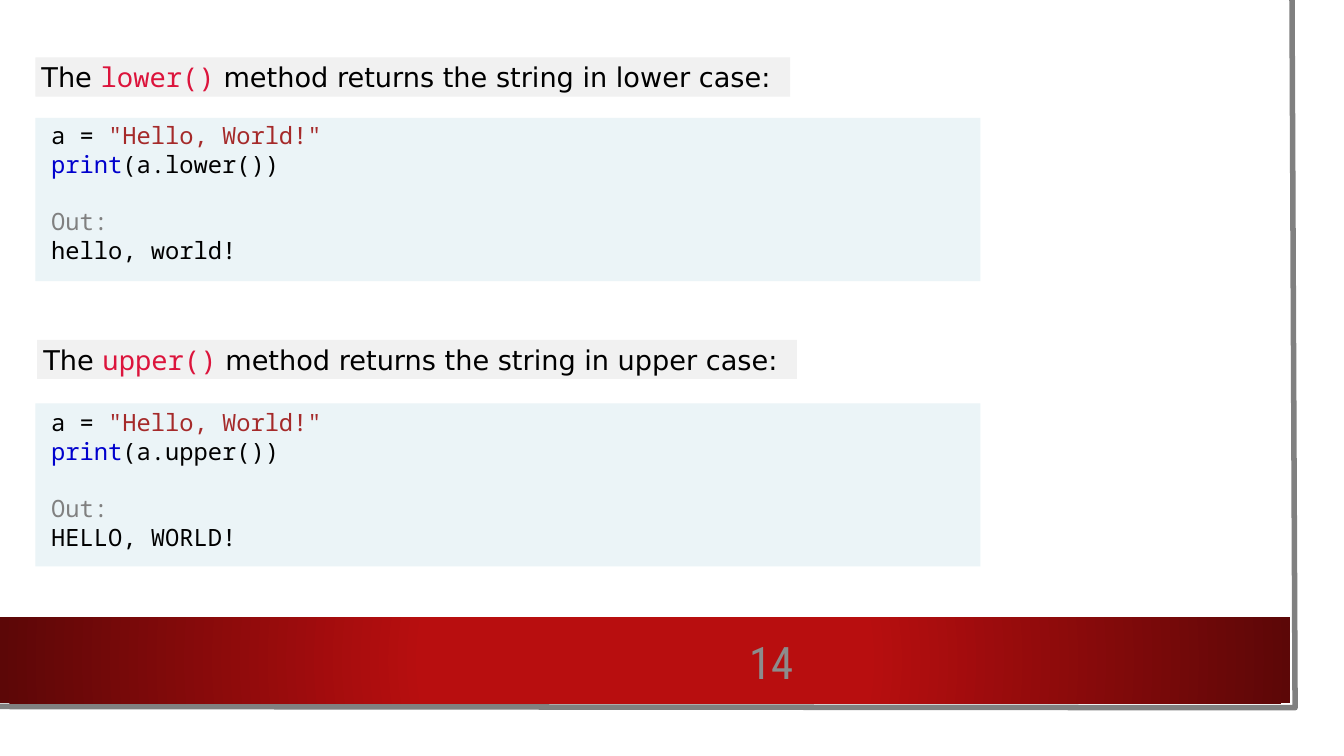
from lxml import etree
from pptx import Presentation
from pptx.dml.color import RGBColor
from pptx.enum.shapes import MSO_SHAPE
from pptx.enum.text import MSO_ANCHOR, PP_ALIGN
from pptx.oxml.ns import qn
from pptx.util import Inches, Pt

RECT = MSO_SHAPE.RECTANGLE
MIDDLE = MSO_ANCHOR.MIDDLE
RIGHT = PP_ALIGN.RIGHT

COLORS = {
    "page": "FFFFFF", "frame": "808080", "red": "B80E0F", "dark": "5C0707",
    "panel": "EBF4F7", "label": "F1F1F1", "text": "000000", "method": "DC143C",
    "string": "A52A2A", "keyword": "0000CD", "out": "808080", "number": "8C8C8C",
}
SANS, MONO, NARROW = "DejaVu Sans", "Noto Sans Mono", "Roboto Condensed"
STYLES = {
    "title": {"name": SANS, "size": Pt(32)},
    "method": {"name": MONO, "size": Pt(32)},
    "code": {"name": MONO, "size": Pt(28)},
    "number": {"name": NARROW, "size": Pt(52.8)},
}

# method, case, result, label box, panel top, code top
DEMOS = [
    ("lower()", "lower", "hello, world!", (0.58, 0.94, 12.35, 0.64), 1.93, 1.93),
    ("upper()", "upper", "HELLO, WORLD!", (0.61, 5.56, 12.43, 0.64), 6.6, 6.63),
]
FRAME = [(21.14, 0), (21.19, 11.58), (-0.05, 11.56)]
PAGE = (0, 0, 21.6, 11.98)
BAND = (0, 10.1, 21.11, 1.41)
NUMBER = (11.34, 10.38, 1.64, 0.9)
PANEL_X, PANEL_W, PANEL_H = 0.58, 15.46, 2.67
CODE_X, CODE_W, CODE_H = 0.74, 11.04, 3
GAP = Pt(33.9)  # one line of code

deck = Presentation()
deck.slide_width, deck.slide_height = Inches(21.99), Inches(12.37)
slide = deck.slides.add_slide(deck.slide_layouts[6])
shapes = slide.shapes


def rgb(key):
    return RGBColor.from_string(COLORS[key])


def add_box(box, color):
    shape = shapes.add_shape(RECT, *map(Inches, box))
    shape.shadow.inherit = False
    shape.fill.solid()
    shape.fill.fore_color.rgb = rgb(color)
    shape.line.fill.background()
    return shape


def add_text(box):
    frame = shapes.add_textbox(*map(Inches, box)).text_frame
    frame.word_wrap = True
    return frame


def add_runs(para, runs):
    """Append (text, style, color) runs to a paragraph."""
    for text, style, color in runs:
        run = para.add_run()
        run.text = text
        run.font.color.rgb = rgb(color)
        for key, value in STYLES[style].items():
            setattr(run.font, key, value)


def add_frame():
    points = [(Inches(x), Inches(y)) for x, y in FRAME]
    pen = shapes.build_freeform(*points[0])
    pen.add_line_segments(points[1:], close=False)
    edge = pen.convert_to_shape()
    edge.shadow.inherit = False
    edge.fill.background()
    edge.line.color.rgb = rgb("frame")
    edge.line.width = Pt(6.5)


def add_band():
    """Add the footer band, shaded outward from its centre."""
    fill = add_box(BAND, "red").fill
    fill.gradient()
    for stop, (spot, color) in zip(fill.gradient_stops, [(0.34, "red"), (1, "dark")]):
        stop.position = spot
        stop.color.rgb = rgb(color)
    grad = shapes[-1].element.spPr.find(qn("a:gradFill"))
    grad.remove(grad.find(qn("a:lin")))
    shade = etree.SubElement(grad, qn("a:path"), path="circle")
    etree.SubElement(shade, qn("a:fillToRect"), dict.fromkeys("ltrb", "50000"))


def add_demo(method, case, result, label, top, code_top):
    add_box((PANEL_X, top, PANEL_W, PANEL_H), "panel")
    title = add_box(label, "label").text_frame
    title.word_wrap = True
    title.vertical_anchor = MIDDLE
    para = title.paragraphs[0]
    para.alignment = PP_ALIGN.LEFT
    add_runs(para, [
        ("The ", "title", "text"),
        (method, "method", "method"),
        (f" method returns the string in {case} case:", "title", "text"),
    ])
    lines = [
        [("a = ", "text"), ('"Hello, World!"', "string")],
        [("print", "keyword"), (f"(a.{method})", "text")],
        [("Out:", "out")],
        [(result, "text")],
    ]
    code = add_text((CODE_X, code_top, CODE_W, CODE_H))
    for i, line in enumerate(lines):
        para = code.add_paragraph() if i else code.paragraphs[0]
        add_runs(para, [(text, "code", color) for text, color in line])
    code.paragraphs[2].space_before = GAP


add_box(PAGE, "page")
add_frame()
add_band()
for demo in DEMOS:
    add_demo(*demo)

number = add_text(NUMBER)
number.vertical_anchor = MIDDLE
for side in ("left", "top", "right", "bottom"):
    setattr(number, f"margin_{side}", 0)
number.paragraphs[0].alignment = RIGHT
add_runs(number.paragraphs[0], [("14", "number", "number")])

deck.save("out.pptx")
